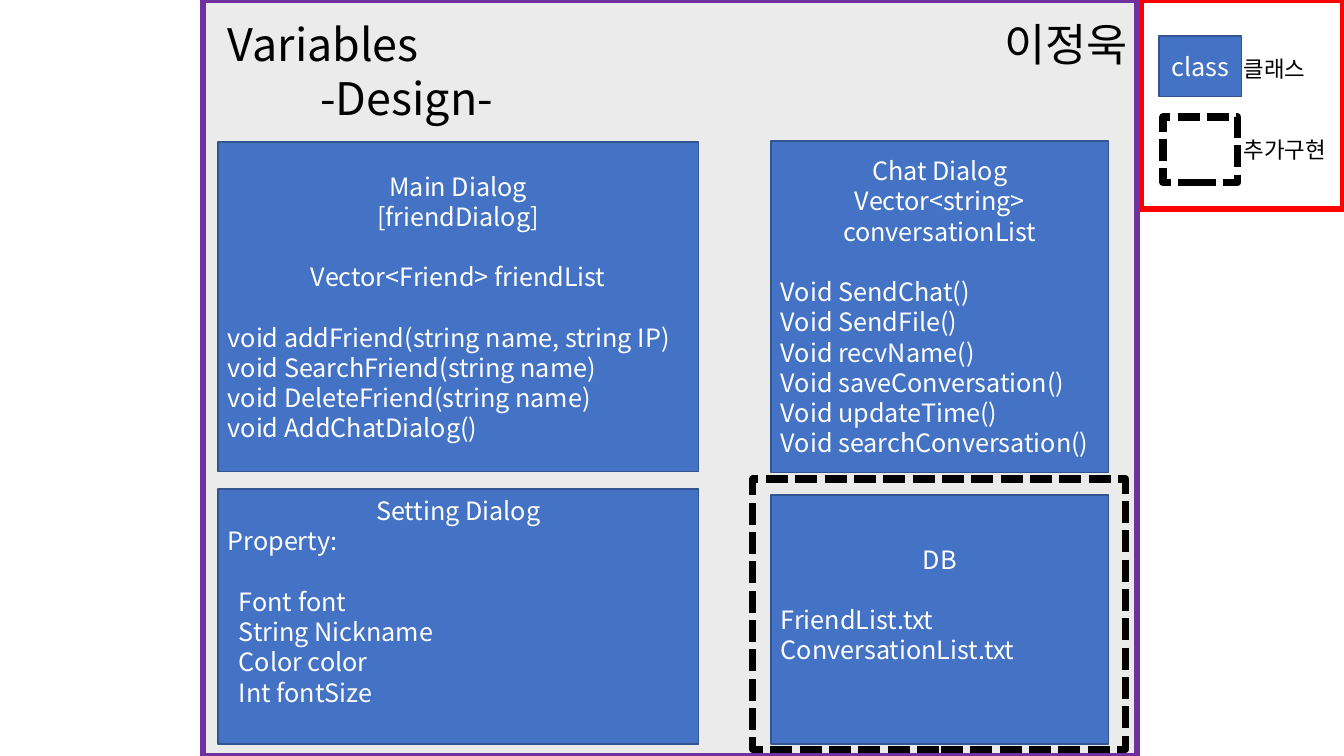
from dataclasses import dataclass

from lxml.etree import SubElement
from pptx import Presentation
from pptx.dml.color import RGBColor
from pptx.enum.dml import MSO_LINE_DASH_STYLE as Dash
from pptx.enum.shapes import MSO_SHAPE as Preset
from pptx.enum.text import MSO_ANCHOR as Anchor, PP_ALIGN as Align
from pptx.oxml.ns import qn
from pptx.util import Cm, Pt


@dataclass(frozen=True)
class Theme:
    font: str = "Noto Sans CJK KR"
    ink: str = "000000"
    paper: str = "FFFFFF"
    panel: str = "A5A5A5"
    frame: str = "7030A0"
    legend: str = "FF0000"
    box: str = "4472C4"
    edge: str = "325491"
    heading: int = 32
    body: int = 18
    label: int = 16
    leading: float = 1.2  # line height per point of type


@dataclass(frozen=True)
class Line:
    text: str
    align: Align = Align.LEFT
    gap: int = 0  # empty lines above
    indent: float = 0  # cm


def centred(text, gap=0):
    return Line(text, Align.CENTER, gap)


class Board:
    def __init__(self, slide, theme):
        self.slide, self.theme = slide, theme

    def set_lines(self, frame, lines, size, colour, anchor=Anchor.TOP):
        frame.word_wrap = True
        frame.vertical_anchor = anchor
        frame.margin_left = frame.margin_right = Cm(0.25)
        frame.margin_top = frame.margin_bottom = Cm(0.13)
        for number, line in enumerate(lines):
            paragraph = frame.add_paragraph() if number else frame.paragraphs[0]
            paragraph.alignment = line.align
            paragraph.line_spacing = 1.0
            paragraph.space_before = Pt(line.gap * size * self.theme.leading)
            if line.indent:
                paragraph._p.get_or_add_pPr().set("marL", str(Cm(line.indent)))
            run = paragraph.add_run()
            run.text = line.text
            run.font.name, run.font.size = self.theme.font, Pt(size)
            run.font.color.rgb = RGBColor.from_string(colour)
            SubElement(run._r.get_or_add_rPr(), qn("a:ea"), typeface=self.theme.font)

    def rectangle(self, place, fill, line, width, opacity=100, dash=None):
        shape = self.slide.shapes.add_shape(Preset.RECTANGLE, *map(Cm, place))
        shape.shadow.inherit = False
        if fill:
            shape.fill.solid()
            shape.fill.fore_color.rgb = RGBColor.from_string(fill)
            if opacity < 100:
                colour = shape._element.spPr.find(".//" + qn("a:srgbClr"))
                SubElement(colour, qn("a:alpha"), val=str(opacity * 1000))
        else:
            shape.fill.background()
        shape.line.color.rgb = RGBColor.from_string(line)
        shape.line.width = Pt(width)
        if dash:
            shape.line.dash_style = dash
        return shape

    def class_box(self, place, lines, lines_below=0):
        theme = self.theme
        frame = self.rectangle(place, theme.box, theme.edge, 1).text_frame
        self.set_lines(frame, lines, theme.body, theme.paper, Anchor.MIDDLE)
        frame.margin_bottom += Pt(lines_below * theme.body * theme.leading)

    def planned(self, place):
        self.rectangle(place, None, self.theme.ink, 5.25, dash=Dash.SQUARE_DOT)

    def title(self, place, lines):
        title = self.slide.shapes.title
        title.left, title.top, title.width, title.height = map(Cm, place)
        self.set_lines(title.text_frame, lines, self.theme.heading, self.theme.ink)
        # Lift the placeholder above the panels
        self.slide.shapes._spTree.append(title._element)

    def text(self, place, lines, size):
        box = self.slide.shapes.add_textbox(*map(Cm, place))
        self.set_lines(box.text_frame, lines, size, self.theme.ink)


deck = Presentation()
deck.slide_width, deck.slide_height = Cm(33.87), Cm(19.05)
theme = Theme()
board = Board(deck.slides.add_slide(deck.slide_layouts[5]), theme)

# Panels and headings
board.rectangle((28.75, 0, 5.11, 5.26), theme.paper, theme.legend, 4.5)
board.rectangle((5.11, 0, 23.55, 19.05), theme.panel, theme.frame, 4, opacity=21)
board.title((5.49, 0.3, 9.52, 3.2), [Line("Variables"), centred("-Design-")])
board.text((22.58, 0.3, 6.1, 1.63), [Line("이정욱", Align.RIGHT)], theme.heading)

# Classes
left, left_width = 5.49, 12.12
right, right_width = 19.43, 8.51
board.class_box((left, 3.58, left_width, 8.31), [
    centred("Main Dialog"),
    centred("[friendDialog]"),
    centred("Vector<Friend> friendList", gap=1),
    Line("void addFriend(string name, string IP)", gap=1),
    Line("void SearchFriend(string name)"),
    Line("void DeleteFriend(string name)"),
    Line("void AddChatDialog()"),
])
board.class_box((right, 3.55, right_width, 8.36), [
    centred("Chat Dialog"),
    centred("Vector<string> conversationList"),
    Line("Void SendChat()", gap=1),
    Line("Void SendFile()"),
    Line("Void recvName()"),
    Line("Void saveConversation()"),
    Line("Void updateTime()"),
    Line("Void searchConversation()"),
])
board.class_box((left, 12.32, left_width, 6.43), [
    centred("Setting Dialog"),
    Line("Property:"),
    Line("Font font", gap=1, indent=0.28),
    Line("String Nickname", indent=0.28),
    Line("Color color", indent=0.28),
    Line("Int fontSize", indent=0.28),
], lines_below=1)
board.class_box((right, 12.47, right_width, 6.28), [
    centred("DB"),
    Line("FriendList.txt", gap=1),
    Line("ConversationList.txt"),
], lines_below=1)
board.planned((18.97, 12.07, 9.4, 6.81))

# Legend
board.class_box((29.21, 0.91, 2.08, 1.52), [centred("class")])
board.planned((29.31, 2.95, 1.88, 1.65))
board.text((31.09, 1.27, 2.75, 3), [Line("클래스"), Line("추가구현", gap=2)], theme.label)

deck.save("out.pptx")
